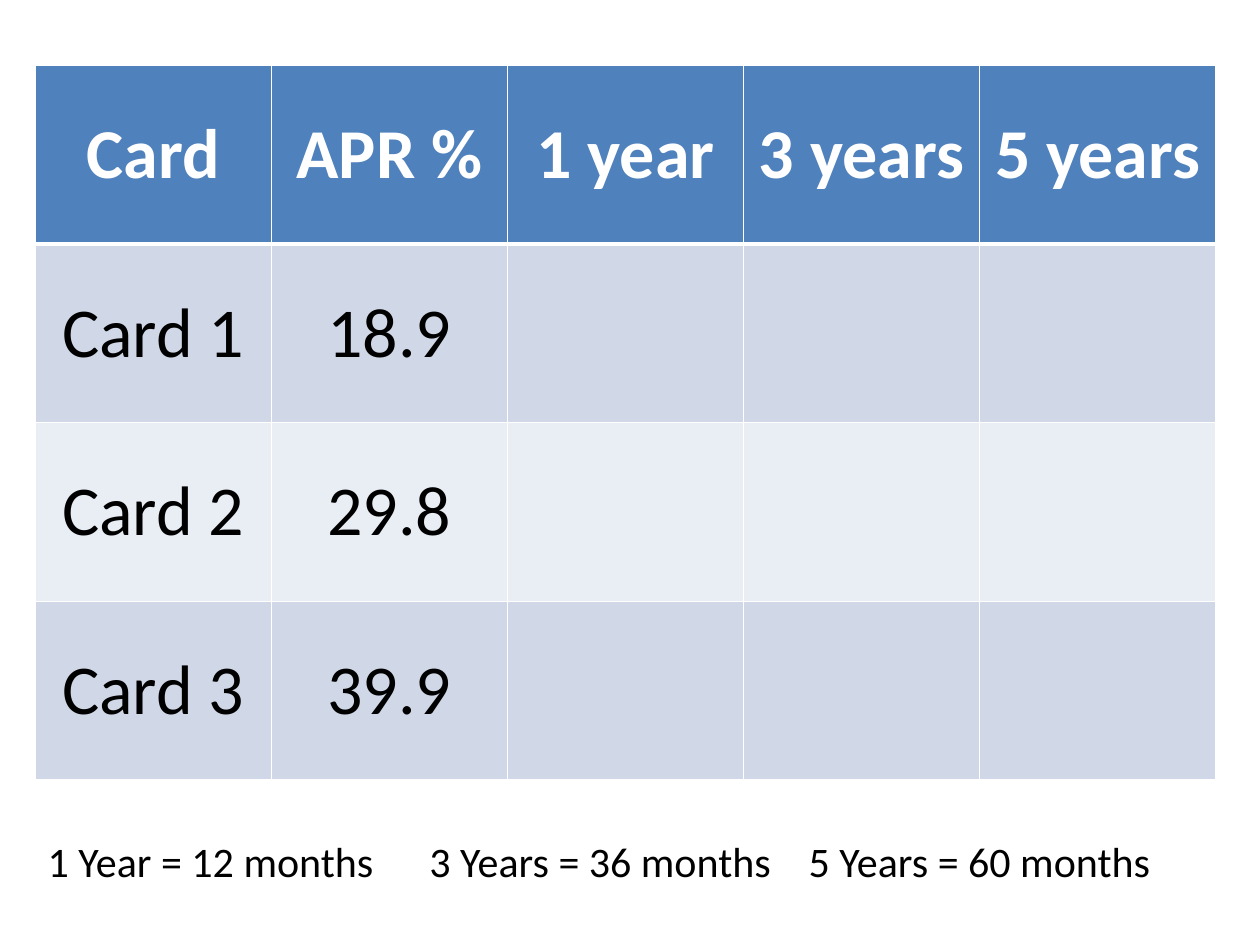
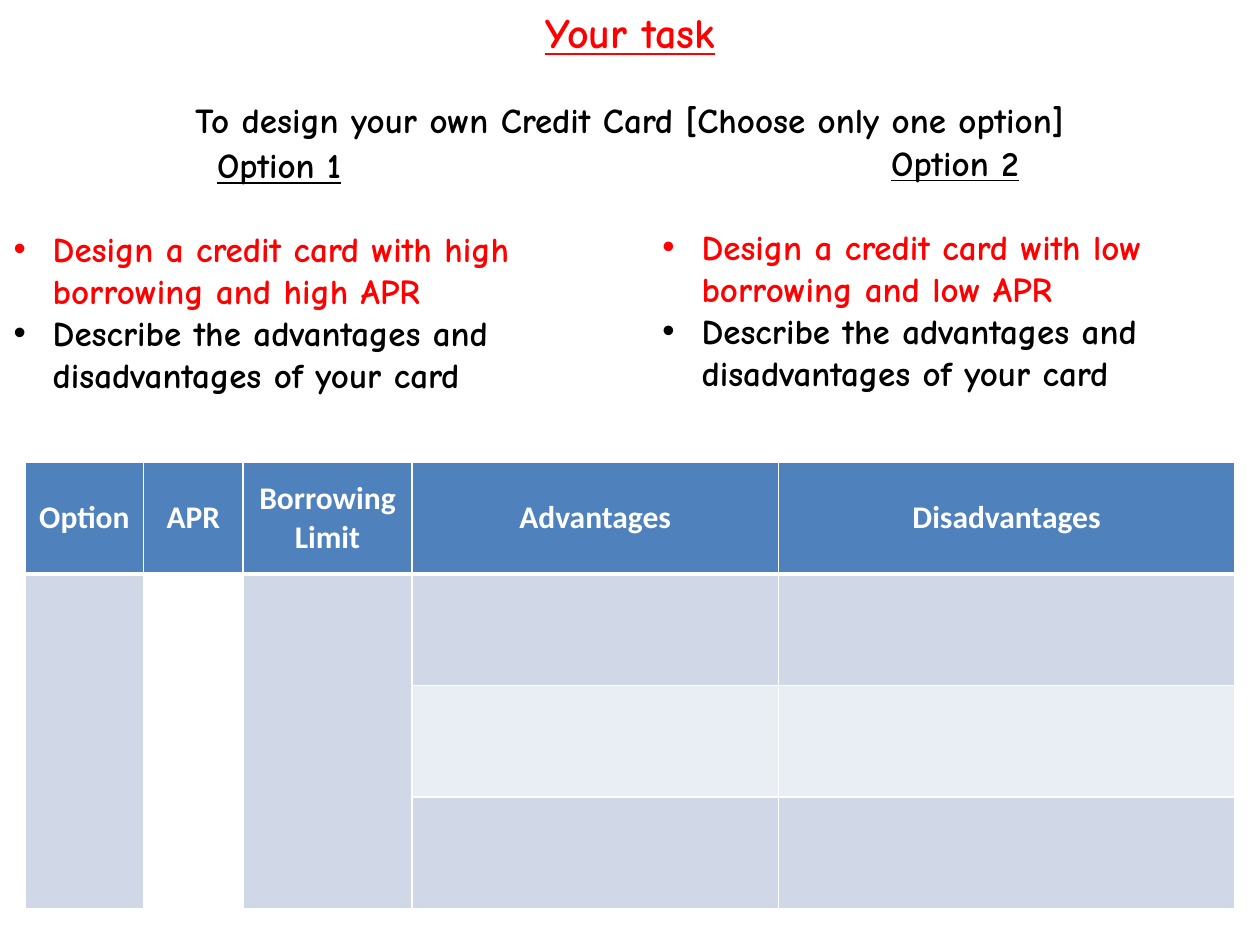
from dataclasses import dataclass

from lxml.etree import SubElement
from pptx import Presentation
from pptx.dml.color import RGBColor
from pptx.enum.text import MSO_ANCHOR as Anchor, MSO_AUTO_SIZE as AutoSize, PP_ALIGN as Align
from pptx.oxml.ns import qn
from pptx.util import Inches, Pt

# Shared style
WHITE = RGBColor(0xFF, 0xFF, 0xFF)
BLACK = RGBColor(0x00, 0x00, 0x00)
RED = RGBColor(0xFF, 0x00, 0x00)
HEADER_BLUE = RGBColor(0x4F, 0x81, 0xBD)
BANDS = (RGBColor(0xD0, 0xD8, 0xE8), RGBColor(0xE9, 0xED, 0xF4))
TABLE_FONT = "Calibri"
TASK_FONT = "Comic Neue"
TITLE_ONLY, BLANK = 5, 6


@dataclass(frozen=True)
class Box:
    left: float
    top: float
    width: float
    height: float

    def lengths(self) -> tuple:
        return tuple(Inches(n) for n in (self.left, self.top, self.width, self.height))


@dataclass(frozen=True)
class TextLine:
    text: str
    size: int
    font: str = TASK_FONT
    color: RGBColor = BLACK
    bold: bool = True
    underline: bool = False
    align: Align = Align.CENTER
    space_before: int = 0
    bullet: bool = False
    tabs: tuple[float, ...] = ()


@dataclass(frozen=True)
class Grid:
    box: Box
    columns: tuple[float, ...]
    rows: tuple[tuple[str, ...], ...]
    size: int
    merged_columns: tuple[int, ...] = ()
    clear_columns: tuple[int, ...] = ()


@dataclass(frozen=True)
class Option:
    box: Box
    heading: str
    design: str


def write_line(paragraph, line: TextLine) -> None:
    paragraph.text = line.text
    paragraph.alignment = line.align
    paragraph.space_before = Pt(line.space_before)
    for run in paragraph.runs:
        font = run.font
        font.name, font.size = line.font, Pt(line.size)
        font.bold, font.underline = line.bold, line.underline
        font.color.rgb = line.color
    properties = paragraph._p.get_or_add_pPr()
    if line.bullet:
        indent = Inches(0.31)
        properties.set("marL", str(indent))
        properties.set("indent", str(-indent))
        SubElement(properties, qn("a:buFont"), typeface="Arial")
        SubElement(properties, qn("a:buChar"), char="•")
    if line.tabs:
        tab_list = SubElement(properties, qn("a:tabLst"))
        for position in line.tabs:
            SubElement(tab_list, qn("a:tab"), pos=str(Inches(position)), algn="l")


def write_lines(shape, lines: list[TextLine]) -> None:
    text_frame = shape.text_frame
    text_frame.word_wrap = True
    text_frame.auto_size = AutoSize.NONE
    text_frame.vertical_anchor = Anchor.TOP
    for index, line in enumerate(lines):
        paragraph = text_frame.add_paragraph() if index else text_frame.paragraphs[0]
        write_line(paragraph, line)


def add_text(slide, box: Box, lines: list[TextLine]) -> None:
    write_lines(slide.shapes.add_textbox(*box.lengths()), lines)


def set_borders(cell, top: float, bottom: float) -> None:
    properties = cell._tc.get_or_add_tcPr()
    for side, width in (("L", 1), ("R", 1), ("T", top), ("B", bottom)):
        line = SubElement(properties, qn(f"a:ln{side}"), w=str(Pt(width)))
        fill = SubElement(line, qn("a:solidFill"))
        SubElement(fill, qn("a:srgbClr"), val=str(WHITE))


def add_grid(slide, grid: Grid) -> None:
    row_count = len(grid.rows)
    table = slide.shapes.add_table(row_count, len(grid.columns), *grid.box.lengths()).table
    for column, width in zip(table.columns, grid.columns):
        column.width = Inches(width)
    for row_index, texts in enumerate(grid.rows):
        table.rows[row_index].height = Inches(grid.box.height / row_count)
        is_header = row_index == 0
        for column_index, text in enumerate(texts):
            cell = table.cell(row_index, column_index)
            set_borders(cell, top=3 if row_index == 1 else 1, bottom=3 if is_header else 1)
            if column_index in grid.clear_columns and not is_header:
                cell.fill.background()
            else:
                cell.fill.solid()
                cell.fill.fore_color.rgb = HEADER_BLUE if is_header else BANDS[(row_index - 1) % 2]
            cell.vertical_anchor = Anchor.MIDDLE
            if text:
                color = WHITE if is_header else BLACK
                write_line(cell.text_frame.paragraphs[0],
                           TextLine(text, grid.size, TABLE_FONT, color, bold=is_header))
    for column_index in grid.merged_columns:
        table.cell(1, column_index).merge(table.cell(row_count - 1, column_index))


def build_comparison(presentation) -> None:
    slide = presentation.slides.add_slide(presentation.slide_layouts[BLANK])
    cards = (("Card 1", "18.9"), ("Card 2", "29.8"), ("Card 3", "39.9"))
    header = ("Card", "APR %", "1 year", "3 years", "5 years")
    rows = (header, *((*card, "", "", "") for card in cards))
    add_grid(slide, Grid(Box(0.28, 0.52, 9.37, 5.67), (9.37 / 5,) * 5, rows, size=40))

    # Conversion of years to months
    months = "1 Year = 12 months\t3 Years = 36 months\t5 Years = 60 months"
    add_text(slide, Box(0.28, 6.58, 9.21, 0.5),
             [TextLine(months, 24, TABLE_FONT, bold=False, align=Align.LEFT, tabs=(3.03, 6.04))])


def build_task(presentation) -> None:
    slide = presentation.slides.add_slide(presentation.slide_layouts[TITLE_ONLY])

    # Title and instruction
    title = slide.shapes.title
    title.left, title.top, title.width, title.height = Box(0, 0, 10, 1.51).lengths()
    write_lines(title, [
        TextLine("Your task", 24, color=RED, underline=True),
        TextLine("To design your own Credit Card [Choose only one option]", 20, space_before=24),
    ])

    # The two options
    options = (
        Option(Box(0.01, 1.09, 4.41, 2.76), "Option 1",
               "Design a credit card with high borrowing and high APR"),
        Option(Box(5.16, 1.07, 4.84, 2.42), "Option 2",
               "Design a credit card with low borrowing and low APR"),
    )
    for option in options:
        add_text(slide, option.box, [
            TextLine(option.heading, 20, underline=True),
            TextLine(option.design, 20, color=RED, align=Align.LEFT, space_before=24, bullet=True),
            TextLine("Describe the advantages and disadvantages of your card", 20,
                     align=Align.LEFT, bullet=True),
        ])

    # Answer table
    header = ("Option", "APR", "Borrowing Limit", "Advantages", "Disadvantages")
    add_grid(slide, Grid(Box(0.2, 3.67, 9.6, 3.54), (0.94, 0.79, 1.34, 2.91, 3.62),
                         (header, *(("",) * 5 for _ in range(3))), size=18,
                         merged_columns=(0, 1, 2), clear_columns=(1,)))


def main() -> None:
    presentation = Presentation()
    presentation.slide_width, presentation.slide_height = Inches(10), Inches(7.5)
    build_comparison(presentation)
    build_task(presentation)
    presentation.save("out.pptx")


if __name__ == "__main__":
    main()
